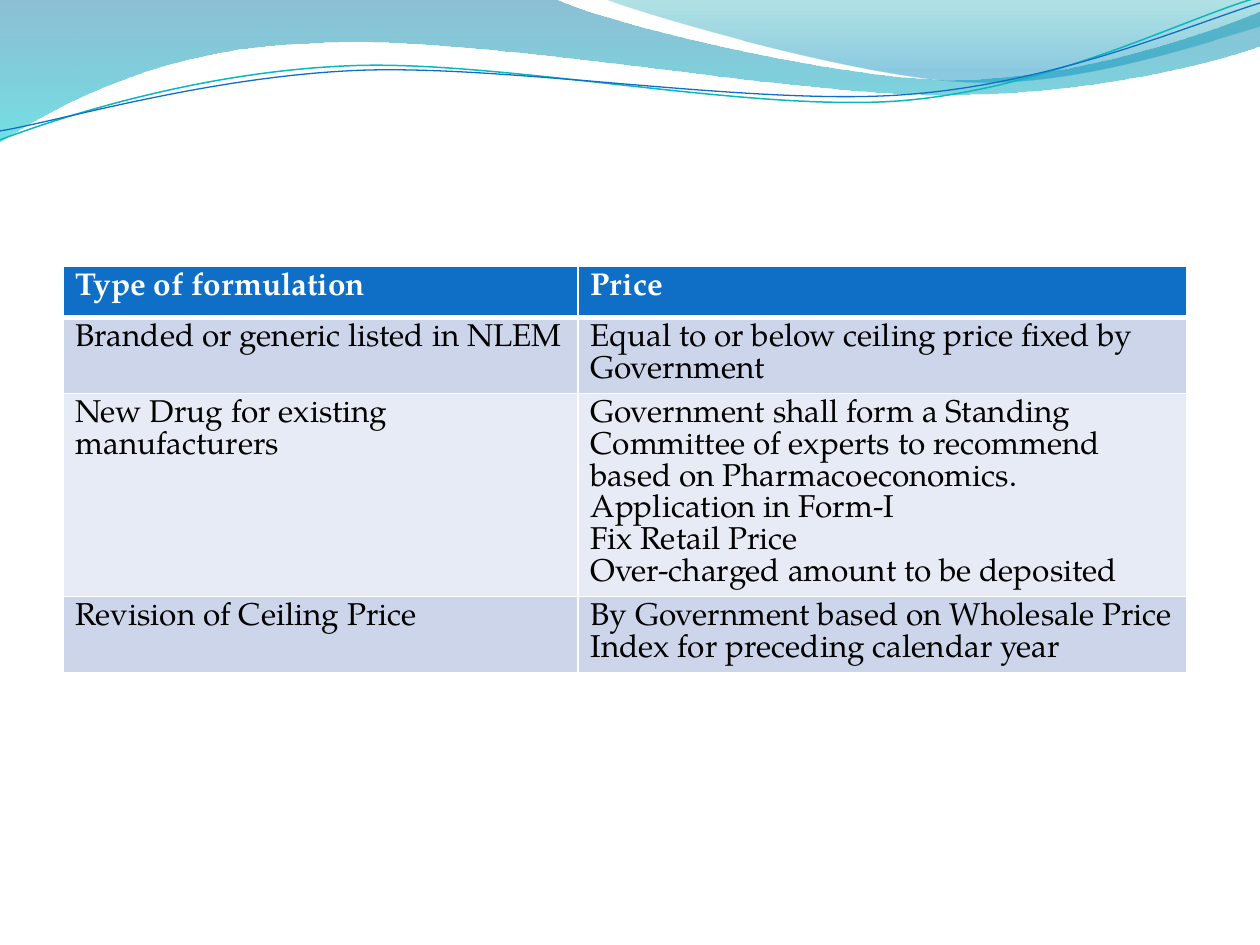
"""Build a slide with a table of drug pricing rules under a wave banner."""
from dataclasses import dataclass
from typing import Optional

from lxml import etree
from pptx import Presentation
from pptx import util as u
from pptx.dml.color import RGBColor
from pptx.oxml.ns import qn

Point = tuple[float, float]


@dataclass(frozen=True)
class Theme:
    font: str = "TeX Gyre Pagella"
    size: float = 18
    head: str = "0F6FC6"
    light: str = "FFFFFF"
    dark: str = "000000"
    bands: tuple[str, str] = ("CCD5EA", "E7EBF5")
    thin: float = 1
    thick: float = 3


@dataclass(frozen=True)
class Stop:
    at: float
    hue: str
    alpha: int


@dataclass(frozen=True)
class Wave:
    start: Point
    steps: tuple[tuple[Point, ...], ...]
    stops: tuple[Stop, ...] = ()
    hue: str = ""
    width: float = 0
    turn: float = 0


LOOK = Theme()
AREAS = (
    Wave((0, 0), (
        ((11.18, -0.03),),
        ((12.09, 0.43), (16.87, 1.6), (19.25, 1.6)),
        ((21.67, 1.6), (24.33, 0.66), (25.4, 0.23)),
        ((25.43, 0.91),),
        ((24.97, 1.12), (22.1, 1.93), (18.95, 1.91)),
        ((15.8, 1.91), (9.7, 0.71), (6.53, 0.86)),
        ((3.28, 0.91), (1.17, 2.11), (-0.03, 2.87)),
        ((0, 0),),
    ), stops=(Stop(0, "0074A1", 45), Stop(1, "00C6CF", 55))),
    Wave((12.17, -0.03), (
        ((12.93, 0.28), (17.32, 1.57), (19.53, 1.65)),
        ((21.74, 1.75), (24.41, 0.81), (25.4, 0.53)),
        ((25.4, 0),),
        ((12.17, -0.03),),
    ), stops=(Stop(0, "00A1A9", 30), Stop(0.8, "008BBF", 45))),
)
LINES = (
    Wave((-0.05, 2.22), (
        ((1.19, 1.82), (4.02, 1.04), (7.05, 1.06)),
        ((10.05, 1.07), (15.02, 2.37), (18.08, 2.29)),
        ((21.13, 2.2), (23.87, 0.91), (25.41, 0.55)),
    ), hue="0AB8BF", width=0.85, turn=357.3),
    Wave((-0.04, 2.04), (
        ((1.16, 1.9), (4.18, 1.15), (7.2, 1.16)),
        ((10.25, 1.18), (15.13, 2.25), (18.18, 2.17)),
        ((21.21, 2.1), (23.93, 1.06), (25.45, 0.66)),
    ), hue="0F6FC6", width=0.75, turn=357.3),
)
ROWS = (
    ("Type of formulation", "Price"),
    ("Branded or generic listed in NLEM",
     "Equal to or below ceiling price fixed by Government"),
    ("New Drug for existing manufacturers",
     "Government shall form a Standing Committee of experts to recommend "
     "based on Pharmacoeconomics.\nApplication in Form-I\nFix Retail Price\n"
     "Over-charged amount to be deposited"),
    ("Revision of Ceiling Price",
     "By Government based on Wholesale Price Index for preceding calendar year"),
)
COLS = (10.38, 12.27)


def bend(shape, wave: Wave) -> None:
    """Turn each three-point step of an outline into a cubic curve."""
    legs = iter(list(shape._element.spPr.iter(qn("a:lnTo"))))
    for step in wave.steps:
        first, *rest = [next(legs) for _ in step]
        if rest:
            first.tag = qn("a:cubicBezTo")
        for leg in rest:
            first.append(leg[0])
            leg.getparent().remove(leg)


def draw_wave(shapes, wave: Wave) -> None:
    """Draw a wave as a gradient area or as a plain line."""
    nodes = (wave.start, *(n for step in wave.steps for n in step))
    first, *rest = [(u.Cm(x), u.Cm(y)) for x, y in nodes]
    pen = shapes.build_freeform(*first)
    pen.add_line_segments(rest, close=bool(wave.stops))
    shape = pen.convert_to_shape()
    bend(shape, wave)
    shape.rotation = wave.turn
    shape.shadow.inherit = False
    if not wave.stops:
        shape.fill.background()
        shape.line.color.rgb = RGBColor.from_string(wave.hue)
        shape.line.width = u.Pt(wave.width)
        return
    shape.line.fill.background()
    shape.fill.gradient()
    shape.fill.gradient_angle = 270
    for mark, stop in zip(shape.fill.gradient_stops, wave.stops):
        mark.position = stop.at
        mark.color.rgb = RGBColor.from_string(stop.hue)
    for node, stop in zip(shape._element.spPr.iter(qn("a:srgbClr")), wave.stops):
        etree.SubElement(node, qn("a:alpha"), val=str(stop.alpha * 1000))


def edge(cell, top: float, base: float) -> None:
    """Give a cell its four borders."""
    props = cell._tc.get_or_add_tcPr()
    for side, width in zip("LRTB", (LOOK.thin, LOOK.thin, top, base)):
        line = etree.SubElement(props, qn(f"a:ln{side}"), w=str(u.Pt(width)))
        fill = etree.SubElement(line, qn("a:solidFill"))
        etree.SubElement(fill, qn("a:srgbClr"), val=LOOK.light)


def write(frame, words: str, *, hue: str = LOOK.dark, bold: bool = False,
          size: Optional[float] = None) -> None:
    """Fill a text frame with formatted paragraphs."""
    frame.text = words
    for para in frame.paragraphs:
        for run in para.runs:
            run.font.name = LOOK.font
            run.font.size = u.Pt(size or LOOK.size)
            run.font.bold = bold
            run.font.color.rgb = RGBColor.from_string(hue)


def draw_table(slide) -> None:
    """Draw the table of formulations and prices."""
    high = 1.03
    table = slide.shapes.add_table(
        len(ROWS), len(COLS), u.Cm(1.27), u.Cm(5.37),
        u.Cm(sum(COLS)), u.Cm(high * len(ROWS))).table
    for col, wide in zip(table.columns, COLS):
        col.width = u.Cm(wide)
    for r, row in enumerate(ROWS):
        head = r == 0
        back = LOOK.head if head else LOOK.bands[(r - 1) % 2]
        for c, words in enumerate(row):
            cell = table.cell(r, c)
            edge(cell, LOOK.thick if r == 1 else LOOK.thin,
                 LOOK.thick if head else LOOK.thin)
            cell.fill.solid()
            cell.fill.fore_color.rgb = RGBColor.from_string(back)
            write(cell.text_frame, words, bold=head,
                  hue=LOOK.light if head else LOOK.dark)


def main() -> None:
    """Build and save the slide."""
    deck = Presentation()
    deck.slide_width, deck.slide_height = u.Cm(25.4), u.Cm(19.05)
    slide = deck.slides.add_slide(deck.slide_layouts[6])
    for wave in AREAS:
        draw_wave(slide.shapes, wave)
    group = slide.shapes.add_group_shape()
    for wave in LINES:
        draw_wave(group.shapes, wave)
    draw_table(slide)
    deck.save("out.pptx")


if __name__ == "__main__":
    main()
